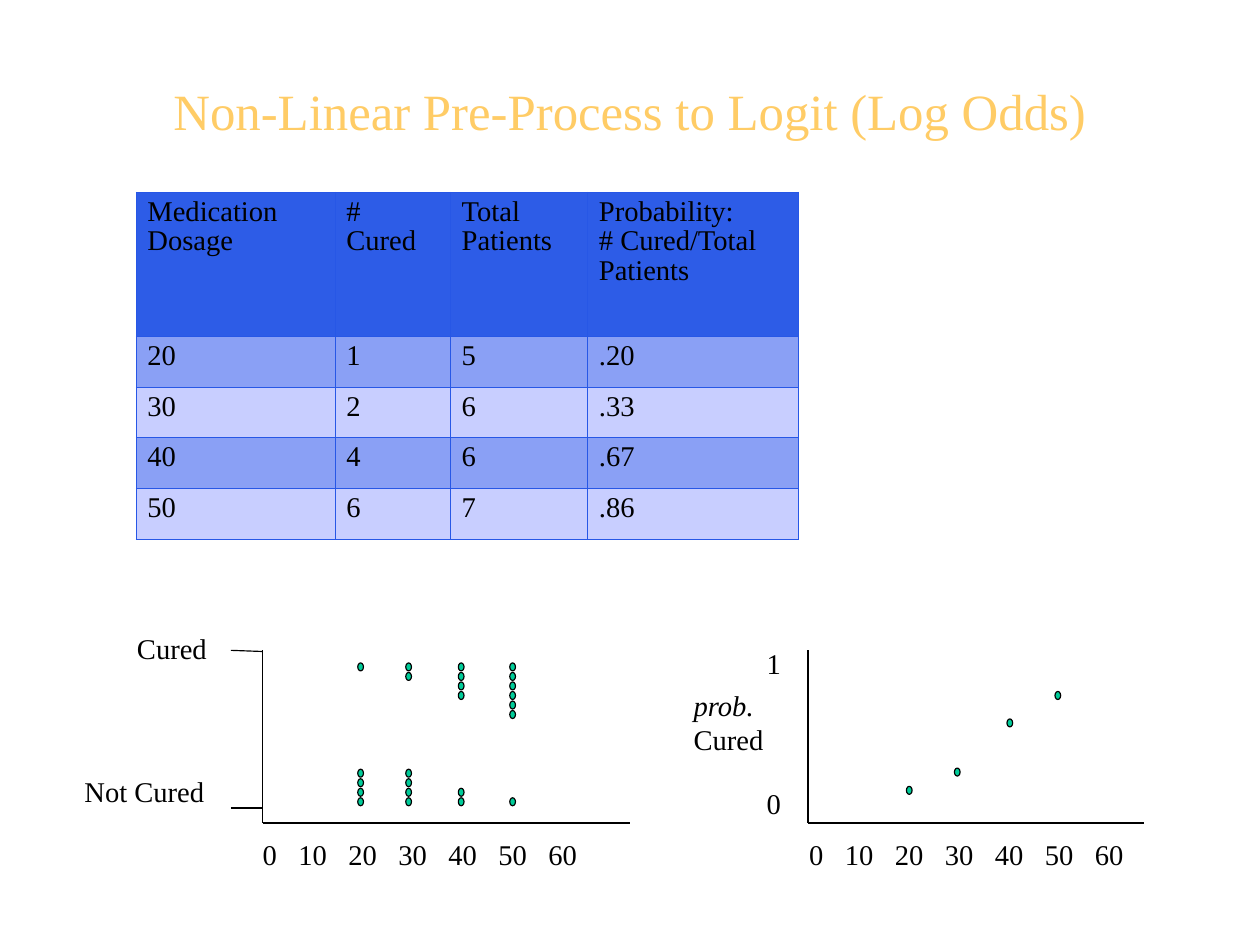
from dataclasses import dataclass

from lxml import etree
from pptx import Presentation
from pptx import util as u
from pptx.dml.color import RGBColor
from pptx.enum import shapes, text
from pptx.oxml import ns

BLACK = RGBColor(0x00, 0x00, 0x00)
GOLD = RGBColor(0xFF, 0xCC, 0x66)
GREEN = RGBColor(0x00, 0xCC, 0x99)
HEADER_BLUE = RGBColor(0x2D, 0x5C, 0xE7)
BORDER_BLUE = RGBColor(0x27, 0x57, 0xE6)
MID_BLUE = RGBColor(0x8A, 0xA0, 0xF5)
PALE_BLUE = RGBColor(0xC8, 0xCE, 0xFF)
FONT = "Times New Roman"
CM_PER_INCH = 2.54

DOSAGE_ROWS = [
    ["Medication Dosage", "#\nCured", "Total\nPatients", "Probability:\n# Cured/Total Patients"],
    ["20", "1", "5", ".20"],
    ["30", "2", "6", ".33"],
    ["40", "4", "6", ".67"],
    ["50", "6", "7", ".86"],
]
COLUMN_WIDTHS = [1.74, 1.01, 1.2, 1.84]
TABLE_HEIGHT = 3.04
HEADER_HEIGHT = 1.26
ROW_HEIGHTS = [HEADER_HEIGHT] + [(TABLE_HEIGHT - HEADER_HEIGHT) / 4] * 4
DOSE_TICKS = "\t".join(str(dose) for dose in range(0, 70, 10))
DOT_STEP = 1 / 12


@dataclass
class Label:
    words: str
    left: float
    top: float
    width: float
    height: float = 0.4
    size: int = 18
    color: RGBColor = BLACK


@dataclass
class Line:
    x1: float
    y1: float
    x2: float
    y2: float


@dataclass
class DoseStack:
    left: float
    cured: int
    not_cured: int


@dataclass
class Dot:
    left: float
    top: float


TITLE = Label("Non-Linear Pre-Process to Logit (Log Odds)", 0.83, 0.46, 9.37, 1.01, 32, GOLD)
PROBABILITY = Label("prob.\nCured", 5.97, 5.97, 0.92, 0.7)
LABELS = [
    Label("Cured", 1.1, 5.47, 0.92),
    Label("Not Cured", 0.64, 6.72, 1.38),
    Label("1", 6.61, 5.6, 0.37),
    Label("0", 6.61, 6.83, 0.37),
]
TICK_LABELS = [Label(DOSE_TICKS, left, 7.27, 3.59) for left in (2.2, 6.98)]
AXES = [
    Line(2.3, 5.69, 2.3, 7.2),
    Line(2.3, 7.2, 5.51, 7.2),
    Line(2.02, 5.69, 2.3, 5.7),
    Line(2.02, 7.07, 2.3, 7.07),
    Line(7.07, 5.69, 7.07, 7.2),
    Line(7.07, 7.2, 10.01, 7.2),
]
PATIENT_STACKS = [
    DoseStack(3.13, 1, 4),
    DoseStack(3.55, 2, 4),
    DoseStack(4.01, 4, 2),
    DoseStack(4.46, 6, 1),
]
PROBABILITY_DOTS = [Dot(7.93, 6.88), Dot(8.35, 6.72), Dot(8.81, 6.29), Dot(9.23, 6.05)]


def style_text(frame, size: int, color: RGBColor) -> None:
    for paragraph in frame.paragraphs:
        for run in paragraph.runs:
            run.font.name = FONT
            run.font.size = u.Pt(size)
            run.font.color.rgb = color


def draw_label(slide, label: Label):
    box = slide.shapes.add_textbox(
        u.Inches(label.left), u.Inches(label.top), u.Inches(label.width), u.Inches(label.height)
    )
    frame = box.text_frame
    frame.word_wrap = True
    frame.text = label.words
    style_text(frame, label.size, label.color)
    return frame


def set_tick_tabs(paragraph) -> None:
    tabs = etree.SubElement(paragraph._p.get_or_add_pPr(), ns.qn("a:tabLst"))
    for tick in range(6):
        position = u.Inches((5 + 7 * tick) / 16)
        etree.SubElement(tabs, ns.qn("a:tab"), pos=str(position), algn="l")


def draw_line(slide, line: Line) -> None:
    axis = slide.shapes.add_connector(
        shapes.MSO_CONNECTOR.STRAIGHT,
        u.Inches(line.x1), u.Inches(line.y1), u.Inches(line.x2), u.Inches(line.y2),
    )
    axis.line.color.rgb = BLACK
    axis.line.width = u.Pt(0.75)
    etree.SubElement(axis._element.spPr, ns.qn("a:effectLst"))


def draw_dot(slide, dot: Dot) -> None:
    patient = slide.shapes.add_shape(
        shapes.MSO_SHAPE.OVAL, u.Inches(dot.left), u.Inches(dot.top), u.Inches(0.05), u.Inches(0.07)
    )
    patient.shadow.inherit = False
    patient.fill.solid()
    patient.fill.fore_color.rgb = GREEN
    patient.line.color.rgb = BLACK
    patient.line.width = u.Pt(0.75)


def draw_stack(slide, stack: DoseStack) -> None:
    for index in range(stack.cured):
        draw_dot(slide, Dot(stack.left, 5.8 + index * DOT_STEP))
    for index in range(stack.not_cured):
        draw_dot(slide, Dot(stack.left, 6.98 - index * DOT_STEP))


def style_cell(cell, fill: RGBColor) -> None:
    properties = cell._tc.get_or_add_tcPr()
    for side in ("a:lnL", "a:lnR", "a:lnT", "a:lnB"):
        border = etree.SubElement(properties, ns.qn(side), w=str(u.Pt(0.34)))
        solid = etree.SubElement(border, ns.qn("a:solidFill"))
        etree.SubElement(solid, ns.qn("a:srgbClr"), val=str(BORDER_BLUE))
    cell.fill.solid()
    cell.fill.fore_color.rgb = fill
    style_text(cell.text_frame, 18, BLACK)
    for paragraph in cell.text_frame.paragraphs:
        paragraph.line_spacing = 0.93


def draw_dosage_table(slide) -> None:
    table = slide.shapes.add_table(
        len(ROW_HEIGHTS), len(COLUMN_WIDTHS),
        u.Inches(1.19), u.Inches(1.68), u.Inches(sum(COLUMN_WIDTHS)), u.Inches(TABLE_HEIGHT),
    ).table
    for column, width in zip(table.columns, COLUMN_WIDTHS):
        column.width = u.Inches(width)
    for index, (row, height) in enumerate(zip(table.rows, ROW_HEIGHTS)):
        row.height = u.Inches(height)
        band = MID_BLUE if index % 2 else PALE_BLUE
        for cell, words in zip(row.cells, DOSAGE_ROWS[index]):
            cell.text_frame.text = words
            style_cell(cell, band if index else HEADER_BLUE)


def main() -> None:
    deck = Presentation()
    deck.slide_width = u.Inches(28 / CM_PER_INCH)
    deck.slide_height = u.Inches(21 / CM_PER_INCH)
    slide = deck.slides.add_slide(deck.slide_layouts[6])

    title = draw_label(slide, TITLE)
    title.vertical_anchor = text.MSO_ANCHOR.MIDDLE
    title.paragraphs[0].alignment = text.PP_ALIGN.CENTER
    draw_dosage_table(slide)
    for axis in AXES:
        draw_line(slide, axis)
    for label in LABELS:
        draw_label(slide, label)
    for ticks in TICK_LABELS:
        set_tick_tabs(draw_label(slide, ticks).paragraphs[0])
    draw_label(slide, PROBABILITY).paragraphs[0].runs[0].font.italic = True
    for stack in PATIENT_STACKS:
        draw_stack(slide, stack)
    for dot in PROBABILITY_DOTS:
        draw_dot(slide, dot)

    deck.save("out.pptx")


if __name__ == "__main__":
    main()
